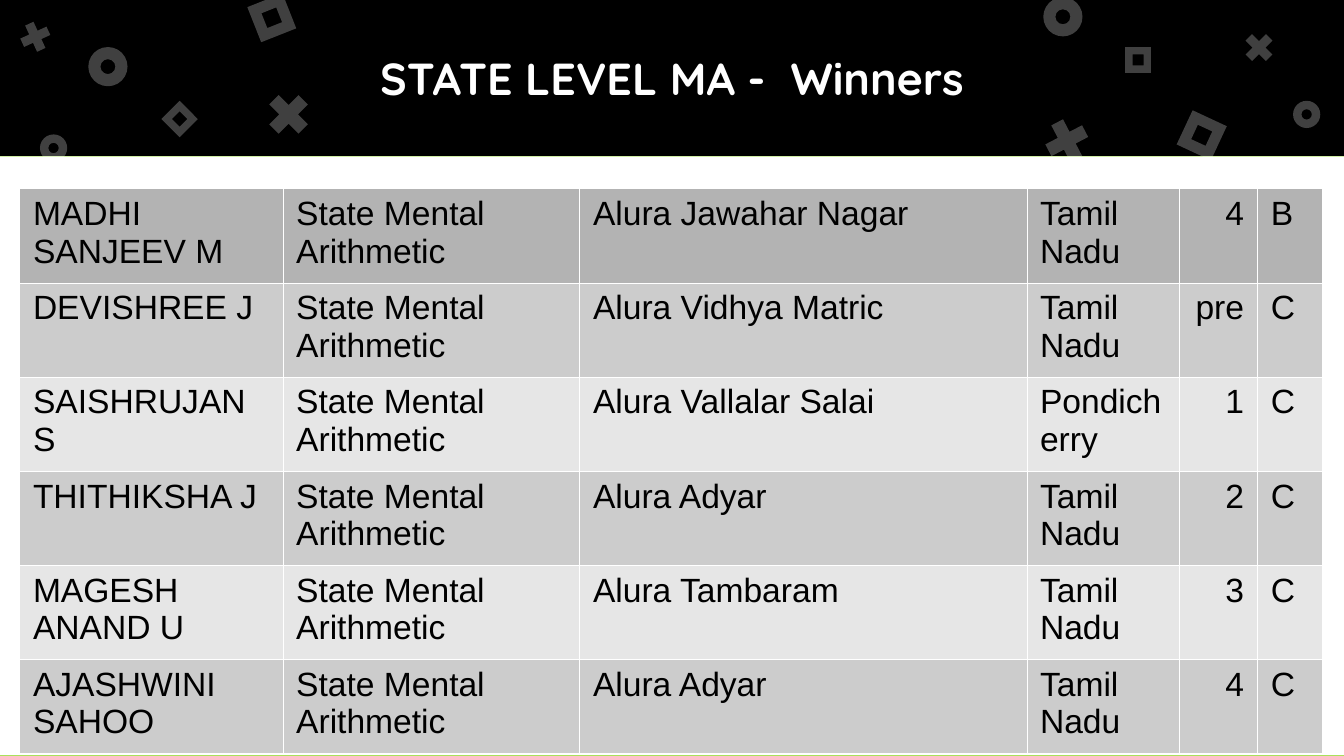
import typing

import lxml.etree
import pptx
import pptx.dml.color
import pptx.enum.shapes
import pptx.enum.text
import pptx.oxml
import pptx.oxml.ns
import pptx.util

Pt = pptx.util.Pt
Kind = pptx.enum.shapes.MSO_SHAPE
Align = pptx.enum.text.PP_ALIGN

COLORS = {
    "background": "7BD100",
    "banner": "000000",
    "white": "FFFFFF",
    "text": "000000",
    "first_row": "B3B3B3",
    "dark_row": "CCCCCC",
    "light_row": "E6E6E6",
}
ADJUSTMENTS = {Kind.DONUT: 0.31, Kind.MATH_MULTIPLY: 0.235, Kind.FRAME: 0.289}
PAGE_WIDTH, PAGE_HEIGHT = 720, 405
BANNER_HEIGHT = 83.5
PANEL_TOP = 83.8
ROW_HEIGHT = 47.5
COLUMN_WIDTHS = [141, 159, 239.5, 81.5, 42.2, 34.5]
GRADE_COLUMN = 4


class Ornament(typing.NamedTuple):
    kind: Kind
    left: float
    top: float
    size: float
    rotation: float = 0


class Winner(typing.NamedTuple):
    name: str
    centre: str
    grade: str
    category: str = "C"
    state: str = "Tamil Nadu"
    contest: str = "State Mental Arithmetic"


ORNAMENTS = [
    Ornament(Kind.DONUT, 47.3, 25.2, 21),
    Ornament(Kind.MATH_MULTIPLY, 139.5, 46.2, 30.2),
    Ornament(Kind.FRAME, 135.5, -0.6, 20.2, 338.4),
    Ornament(Kind.DONUT, 558.9, -1.5, 21),
    Ornament(Kind.MATH_MULTIPLY, 556.4, 60.3, 30.2, 17.5),
    Ornament(Kind.FRAME, 633.7, 62.4, 20.2, 25),
    Ornament(Kind.DONUT, 21.4, 72, 14.6),
    Ornament(Kind.MATH_MULTIPLY, 8.4, 9.2, 21, 20.4),
    Ornament(Kind.FRAME, 89.3, 56.9, 13.8, 45),
    Ornament(Kind.DONUT, 692.7, 54, 14.6),
    Ornament(Kind.MATH_MULTIPLY, 664, 15, 21),
    Ornament(Kind.FRAME, 602.8, 25.2, 13.8),
]
WINNERS = [
    Winner("MADHI SANJEEV M", "Alura Jawahar Nagar", "4", "B"),
    Winner("DEVISHREE J", "Alura Vidhya Matric", "pre"),
    Winner("SAISHRUJAN S", "Alura Vallalar Salai", "1", state="Pondicherry"),
    Winner("THITHIKSHA J", "Alura Adyar", "2"),
    Winner("MAGESH ANAND U", "Alura Tambaram", "3"),
    Winner("AJASHWINI SAHOO", "Alura Adyar", "4"),
]


def color(name: str) -> pptx.dml.color.RGBColor:
    return pptx.dml.color.RGBColor.from_string(COLORS[name])


def add_plain_shape(page, kind: Kind, left: float, top: float,
                    width: float, height: float, fill: str):
    shape = page.shapes.add_shape(kind, Pt(left), Pt(top), Pt(width), Pt(height))
    shape.shadow.inherit = False
    shape.fill.solid()
    shape.fill.fore_color.rgb = color(fill)
    shape.line.fill.background()
    return shape


def add_ornament(page, ornament: Ornament) -> None:
    shape = add_plain_shape(page, ornament.kind, ornament.left, ornament.top,
                            ornament.size, ornament.size, "white")
    shape.adjustments[0] = ADJUSTMENTS[ornament.kind]
    shape.rotation = ornament.rotation
    # 25 % opacity
    tint = shape.fill._xPr.find(".//" + pptx.oxml.ns.qn("a:srgbClr"))
    lxml.etree.SubElement(tint, pptx.oxml.ns.qn("a:alpha"), val="25000")


def write(para, text: str, size: float, font: str, ink: str, bold: bool = False) -> None:
    span = para.add_run()
    span.text = text
    span.font.size = Pt(size)
    span.font.name = font
    span.font.bold = bold
    span.font.color.rgb = color(ink)


def add_title(page, text: str) -> None:
    box = page.shapes.add_textbox(Pt(36), Pt(0), Pt(648), Pt(BANNER_HEIGHT))
    frame = box.text_frame
    frame.word_wrap = True
    frame.vertical_anchor = pptx.enum.text.MSO_ANCHOR.MIDDLE
    frame.margin_left = frame.margin_right = Pt(7.2)
    frame.margin_top = frame.margin_bottom = Pt(7.2)
    para = frame.paragraphs[0]
    para.alignment = Align.CENTER
    write(para, text, 24, "Quicksand", "white", bold=True)


def add_borders(cell) -> None:
    properties = cell._tc.get_or_add_tcPr()
    for side in ("lnL", "lnR", "lnT", "lnB"):
        properties.append(pptx.oxml.parse_xml(
            f'<a:{side} {pptx.oxml.ns.nsdecls("a")} w="{Pt(0.06)}"><a:solidFill>'
            f'<a:srgbClr val="{COLORS["white"]}"/></a:solidFill></a:{side}>'))


def row_fill(row: int) -> str:
    if row == 0:
        return "first_row"
    return "dark_row" if row % 2 else "light_row"


def add_winners_table(page, winners: list[Winner]) -> None:
    table = page.shapes.add_table(
        len(winners), len(COLUMN_WIDTHS), Pt(10.5), Pt(101),
        Pt(sum(COLUMN_WIDTHS)), Pt(ROW_HEIGHT * len(winners))).table
    for column, width in zip(table.columns, COLUMN_WIDTHS):
        column.width = Pt(width)
    for row, winner in enumerate(winners):
        table.rows[row].height = Pt(ROW_HEIGHT)
        texts = (winner.name, winner.contest, winner.centre,
                 winner.state, winner.grade, winner.category)
        for column, text in enumerate(texts):
            cell = table.cell(row, column)
            add_borders(cell)
            cell.fill.solid()
            cell.fill.fore_color.rgb = color(row_fill(row))
            cell.margin_left = cell.margin_right = Pt(7.2)
            cell.margin_top = cell.margin_bottom = Pt(3.6)
            para = cell.text_frame.paragraphs[0]
            para.alignment = Align.RIGHT if column == GRADE_COLUMN else Align.LEFT
            write(para, text, 18, "Arial", "text")


def main() -> None:
    deck = pptx.Presentation()
    deck.slide_width, deck.slide_height = Pt(PAGE_WIDTH), Pt(PAGE_HEIGHT)
    page = deck.slides.add_slide(deck.slide_layouts[6])
    page.background.fill.solid()
    page.background.fill.fore_color.rgb = color("background")

    # Banner and white panel, with the background showing between them
    add_plain_shape(page, Kind.RECTANGLE, 0, 0, PAGE_WIDTH, BANNER_HEIGHT, "banner")
    add_plain_shape(page, Kind.RECTANGLE, 0, PANEL_TOP, PAGE_WIDTH,
                    PAGE_HEIGHT - PANEL_TOP - 0.3, "white")
    for ornament in ORNAMENTS:
        add_ornament(page, ornament)

    # Content
    add_title(page, "STATE LEVEL MA -  Winners")
    add_winners_table(page, WINNERS)
    deck.save("out.pptx")


if __name__ == "__main__":
    main()
